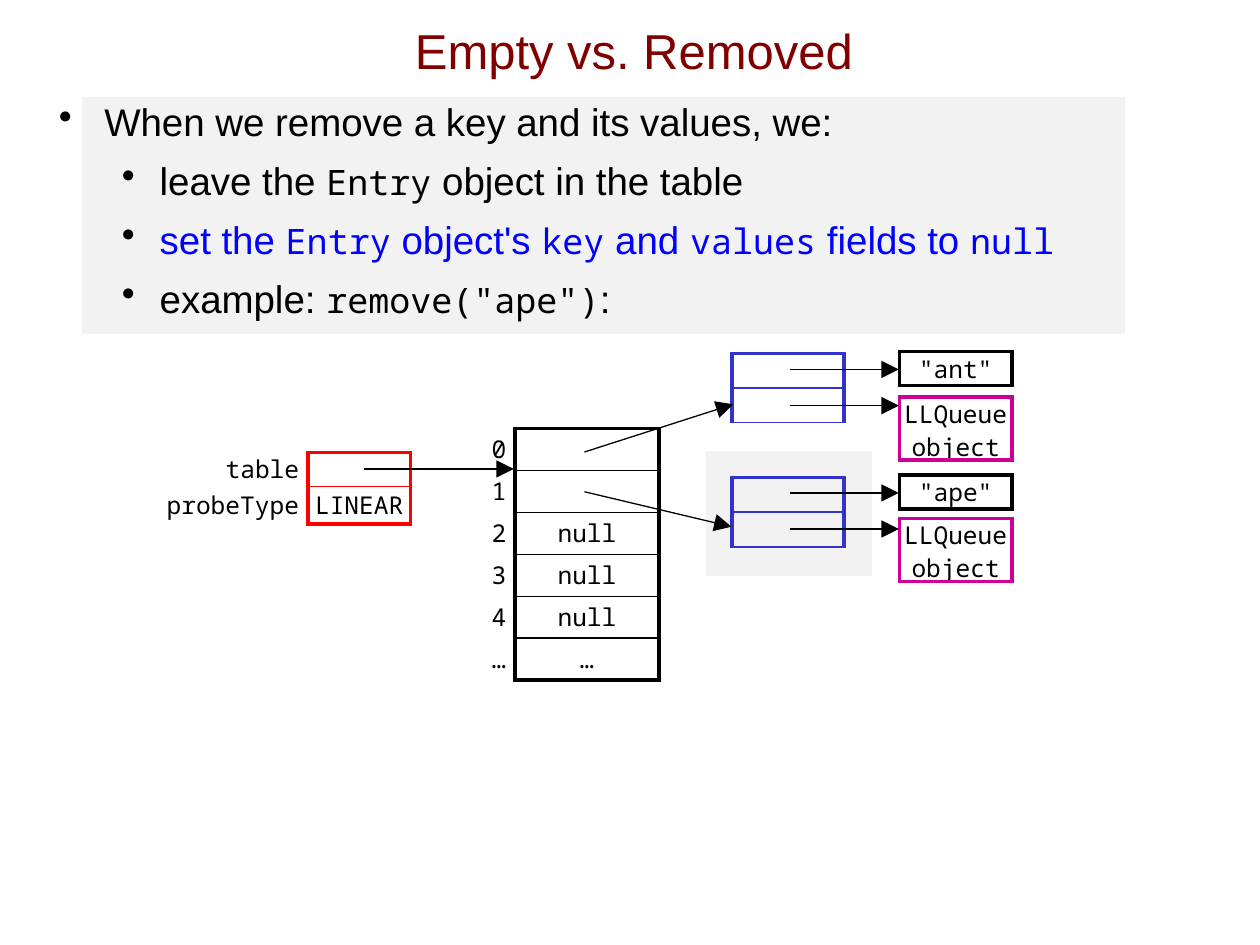
from lxml.etree import SubElement
from pptx import Presentation
from pptx.dml.color import RGBColor
from pptx.enum.shapes import MSO_CONNECTOR, MSO_SHAPE
from pptx.enum.text import MSO_ANCHOR, PP_ALIGN
from pptx.oxml.ns import qn
from pptx.util import Pt

BLACK = RGBColor(0x00, 0x00, 0x00)
MAROON = RGBColor(0x80, 0x00, 0x00)
BLUE = RGBColor(0x00, 0x00, 0xFF)
INDIGO = RGBColor(0x33, 0x33, 0xCC)
MAGENTA = RGBColor(0xCC, 0x00, 0x99)
RED = RGBColor(0xFF, 0x00, 0x00)
GREY = RGBColor(0xF2, 0xF2, 0xF2)
SANS, MONO = "Arial", "Noto Sans Mono"
THICK, THIN = 2.25, 1


def write(paragraph, text, font=MONO, size=14, color=BLACK):
    for number, line in enumerate(text.split("\n")):
        if number:
            paragraph.add_line_break()
            line_break = paragraph._p.findall(qn("a:br"))[-1]
            SubElement(line_break, qn("a:rPr"), sz=str(size * 100))
        if line:
            span = paragraph.add_run()
            span.text = line
            span.font.name = font
            span.font.size = Pt(size)
            span.font.color.rgb = color
    if not text:
        SubElement(paragraph._p, qn("a:endParaRPr"), sz=str(size * 100))


def add_grid(left, top, widths, heights, rows, color, bottom=THICK):
    """Add a table whose last column is boxed; a column before it holds labels."""
    frame = slide.shapes.add_table(len(rows), len(widths), Pt(left), Pt(top),
                                   Pt(sum(widths)), Pt(sum(heights)))
    table = frame.table
    table.first_row = table.horz_banding = False
    for column, width in zip(table.columns, widths):
        column.width = Pt(width)
    for r, (height, texts) in enumerate(zip(heights, rows)):
        table.rows[r].height = Pt(height)
        for c, text in enumerate(texts):
            cell = table.cell(r, c)
            boxed = c == len(widths) - 1
            cell.margin_left = cell.margin_top = cell.margin_bottom = 0
            cell.margin_right = 0 if boxed else Pt(5)
            cell.vertical_anchor = MSO_ANCHOR.MIDDLE
            para = cell.text_frame.paragraphs[0]
            para.alignment = PP_ALIGN.CENTER if boxed else PP_ALIGN.RIGHT
            write(para, text)
            # Borders: thick outside, thin between rows
            borders = {"lnL": THICK if boxed else 0,
                       "lnR": THICK,
                       "lnT": (THIN if r else THICK) if boxed else 0,
                       "lnB": (THIN if r < len(rows) - 1 else bottom) if boxed else 0}
            properties = cell._tc.get_or_add_tcPr()
            for side, weight in borders.items():
                border = SubElement(properties, qn("a:" + side), w=str(Pt(weight)))
                if weight:
                    fill = SubElement(border, qn("a:solidFill"))
                    SubElement(fill, qn("a:srgbClr"), val=str(color))
                else:
                    SubElement(border, qn("a:noFill"))
            cell.fill.background()


deck = Presentation()
deck.slide_width, deck.slide_height = Pt(720), Pt(540)
slide = deck.slides.add_slide(deck.slide_layouts[5])

# Grey panels behind the bullets and the removed entry
for left, top, width, height in [(46.8, 55.4, 596.2, 135.4), (403.2, 257.8, 95, 71.3)]:
    panel = slide.shapes.add_shape(MSO_SHAPE.RECTANGLE, Pt(left), Pt(top), Pt(width), Pt(height))
    panel.shadow.inherit = False
    panel.fill.solid()
    panel.fill.fore_color.rgb = GREY
    panel.line.fill.background()

# Title
title = slide.shapes.title
title.left, title.top, title.width, title.height = Pt(20.2), Pt(-5), Pt(684), Pt(67)
title.text_frame.vertical_anchor = MSO_ANCHOR.MIDDLE
heading = title.text_frame.paragraphs[0]
heading.alignment = PP_ALIGN.CENTER
write(heading, "Empty vs. Removed", font=SANS, size=28, color=MAROON)

# Bullets: level, colour, then sans and mono spans in turn
bullets = [
    (0, BLACK, ["When we remove a key and its values, we:"]),
    (1, BLACK, ["leave the ", "Entry", " object in the table"]),
    (1, BLUE, ["set the ", "Entry", " object's ", "key", " and ", "values",
               " fields to ", "null"]),
    (1, BLACK, ["example: ", 'remove("ape")', ":"]),
]
indents = [(26, -26), (57.6, -21.6)]
box = slide.shapes.add_textbox(Pt(26.6), Pt(55.4), Pt(668), Pt(442))
box.text_frame.word_wrap = True
for number, (level, color, spans) in enumerate(bullets):
    para = box.text_frame.add_paragraph() if number else box.text_frame.paragraphs[0]
    para.level = level
    para.line_spacing = 0.9
    if number:
        para.space_before = Pt(10)
    margin, indent = indents[level]
    properties = para._p.get_or_add_pPr()
    properties.set("marL", str(Pt(margin)))
    properties.set("indent", str(Pt(indent)))
    bullet_color = SubElement(properties, qn("a:buClr"))
    SubElement(bullet_color, qn("a:srgbClr"), val=str(BLACK))
    SubElement(properties, qn("a:buChar"), char="•")
    for position, text in enumerate(spans):
        font, size = (MONO, 20) if position % 2 else (SANS, 22)
        write(para, text, font=font, size=size, color=color)

# Hash table object and its array
add_grid(77.8, 258.5, [98.2, 58.6], [19.5, 21.5],
         [["table", ""], ["probeType", "LINEAR"]], RED)
add_grid(211.7, 244.8, [82.6, 82.4], [24] * 6,
         [["0", ""], ["1", ""], ["2", "null"], ["3", "null"], ["4", "null"], ["…", "…"]], BLACK)

# Entries with their keys and values
for entry_top, key_top, value_top, key in [(202, 200.9, 226.8, '"ant"'),
                                           (272.9, 271.4, 296.2, '"ape"')]:
    add_grid(418.3, entry_top, [64.1], [19.8] * 2, [[""], [""]], INDIGO, bottom=THIN)
    add_grid(514.1, key_top, [64.1], [19.4], [[key]], BLACK)
    add_grid(514.1, value_top, [64.1], [36], [["LLQueue\nobject"]], MAGENTA)

# Reference arrows
arrows = [(208, 268, 293.6, 268), (334, 258.3, 419, 231), (334, 281, 418, 301)]
arrows += [(451.6, y, 513.6, y) for y in (211.1, 231.8, 281.7, 302.3)]
for x1, y1, x2, y2 in arrows:
    arrow = slide.shapes.add_connector(MSO_CONNECTOR.STRAIGHT, Pt(x1), Pt(y1), Pt(x2), Pt(y2))
    arrow.line.color.rgb = BLACK
    arrow.line.width = Pt(0.75)
    SubElement(arrow.line._get_or_add_ln(), qn("a:tailEnd"), type="triangle", w="lg", len="lg")
    SubElement(arrow._element.spPr, qn("a:effectLst"))

deck.save("out.pptx")
